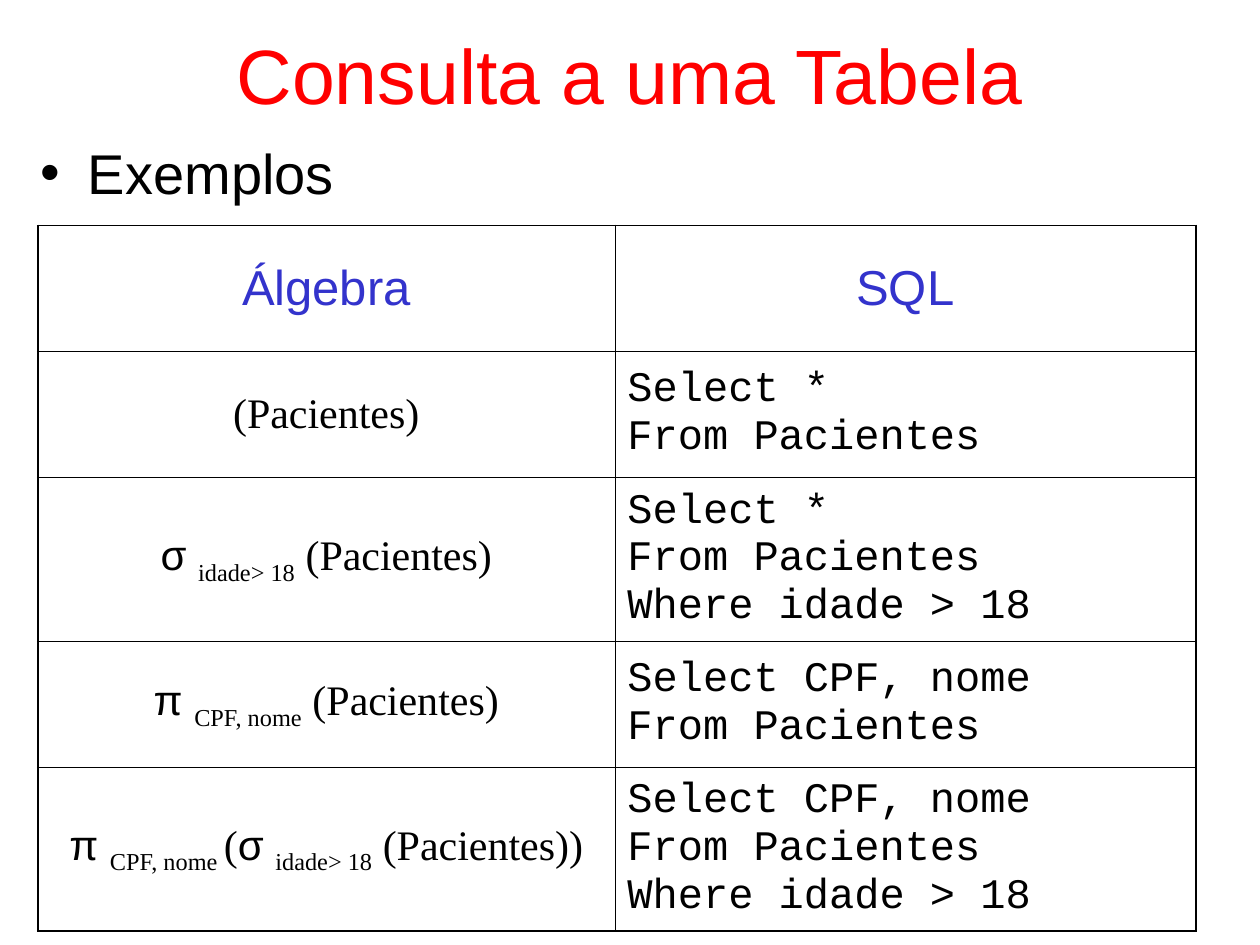
from lxml import etree
from pptx import Presentation
from pptx import util as u
from pptx.dml.color import RGBColor
from pptx.enum import text
from pptx.oxml.ns import qn

SERIF, SANS, MONO = "Times New Roman", "Arial", "Courier New"
BLACK, RED, BLUE = "000000", "FF0000", "3333CC"
THIN, THICK = 0.45, 1.08

SIGMA = [("σ ", SANS, 0), ("idade> 18", SERIF, -25)]
PATIENTS = [("(Pacientes)", SERIF, 0)]
QUERIES = [
    (PATIENTS, ["Select *", "From Pacientes"]),
    (SIGMA + [(" (Pacientes)", SERIF, 0)],
     ["Select *", "From Pacientes", "Where idade > 18"]),
    ([("π ", SANS, 0), ("CPF, nome", SERIF, -25), (" (Pacientes)", SERIF, 0)],
     ["Select CPF, nome", "From Pacientes"]),
    ([("π ", SANS, 0), ("CPF, nome ", SERIF, -25), ("(", SERIF, 0)]
     + SIGMA + [(" (Pacientes))", SERIF, 0)],
     ["Select CPF, nome", "From Pacientes", "Where idade > 18"]),
]


def color(value):
    return RGBColor.from_string(value)


def add_span(para, words, face, size, shade=BLACK, baseline=0):
    span = para.add_run()
    span.text = words
    for name, value in {"name": face, "size": u.Pt(size)}.items():
        setattr(span.font, name, value)
    span.font.color.rgb = color(shade)
    if baseline:
        span.font._element.set("baseline", str(baseline * 1000))


def add_box(page, area, **formats):
    frame = page.shapes.add_textbox(*map(u.Inches, area)).text_frame
    for name, value in {"word_wrap": True, **formats}.items():
        setattr(frame, name, value)
    return frame.paragraphs[0]


def add_title(page, area):
    para = add_box(page, area, vertical_anchor=text.MSO_ANCHOR.MIDDLE)
    para.alignment = text.PP_ALIGN.CENTER
    add_span(para, "Consulta a uma Tabela", SANS, 44, RED)


def add_bullet(page, area):
    para = add_box(page, area, margin_top=u.Inches(0.08))
    props = para._p.get_or_add_pPr()
    props.set("marL", str(u.Inches(0.38)))
    props.set("indent", str(u.Inches(-0.38)))
    etree.SubElement(props, qn("a:buFont"), typeface=SANS)
    etree.SubElement(props, qn("a:buChar"), char="•")
    add_span(para, "Exemplos", SANS, 32)


def set_borders(cell, widths):
    props = cell._tc.get_or_add_tcPr()
    for side, width in zip("LRTB", widths):
        line = etree.SubElement(props, qn(f"a:ln{side}"), w=str(u.Pt(width)))
        fill = etree.SubElement(line, qn("a:solidFill"))
        etree.SubElement(fill, qn("a:srgbClr"), val=BLACK)


def add_queries(page, area, widths, heights):
    table = page.shapes.add_table(
        len(heights), len(widths), *map(u.Inches, area)).table
    table.first_row = table.horz_banding = False
    for column, width in zip(table.columns, widths):
        column.width = u.Inches(width)
    last = len(heights) - 1
    for index, height in enumerate(heights):
        table.rows[index].height = u.Inches(height)
        for side in range(2):
            cell = table.cell(index, side)
            edges = side == 0, side == 1, index == 0, index == last
            set_borders(cell, [THICK if edge else THIN for edge in edges])
            cell.fill.background()
            cell.vertical_anchor = text.MSO_ANCHOR.MIDDLE
            if side == 0 or index == 0:
                cell.text_frame.paragraphs[0].alignment = text.PP_ALIGN.CENTER

    for side, heading in enumerate(["Álgebra", "SQL"]):
        para = table.cell(0, side).text_frame.paragraphs[0]
        add_span(para, heading, SANS, 28, BLUE)
    for index, (algebra, sql) in enumerate(QUERIES, 1):
        para = table.cell(index, 0).text_frame.paragraphs[0]
        for words, face, baseline in algebra:
            add_span(para, words, face, 24, baseline=baseline)
        frame = table.cell(index, 1).text_frame
        for number, line in enumerate(sql):
            para = frame.add_paragraph() if number else frame.paragraphs[0]
            add_span(para, line, MONO, 24)


def main():
    deck = Presentation()
    deck.slide_width, deck.slide_height = u.Inches(10), u.Inches(7.5)
    page = deck.slides.add_slide(deck.slide_layouts[6])
    add_title(page, (0.75, -0.04, 8.5, 1.25))
    add_bullet(page, (0.22, 1.02, 4.17, 0.73))
    add_queries(page, (0.3, 1.79, 9.2, 5.61), [4.58, 4.61],
                [1, 1, 1.3, 1, 1.3])
    deck.save("out.pptx")


if __name__ == "__main__":
    main()
